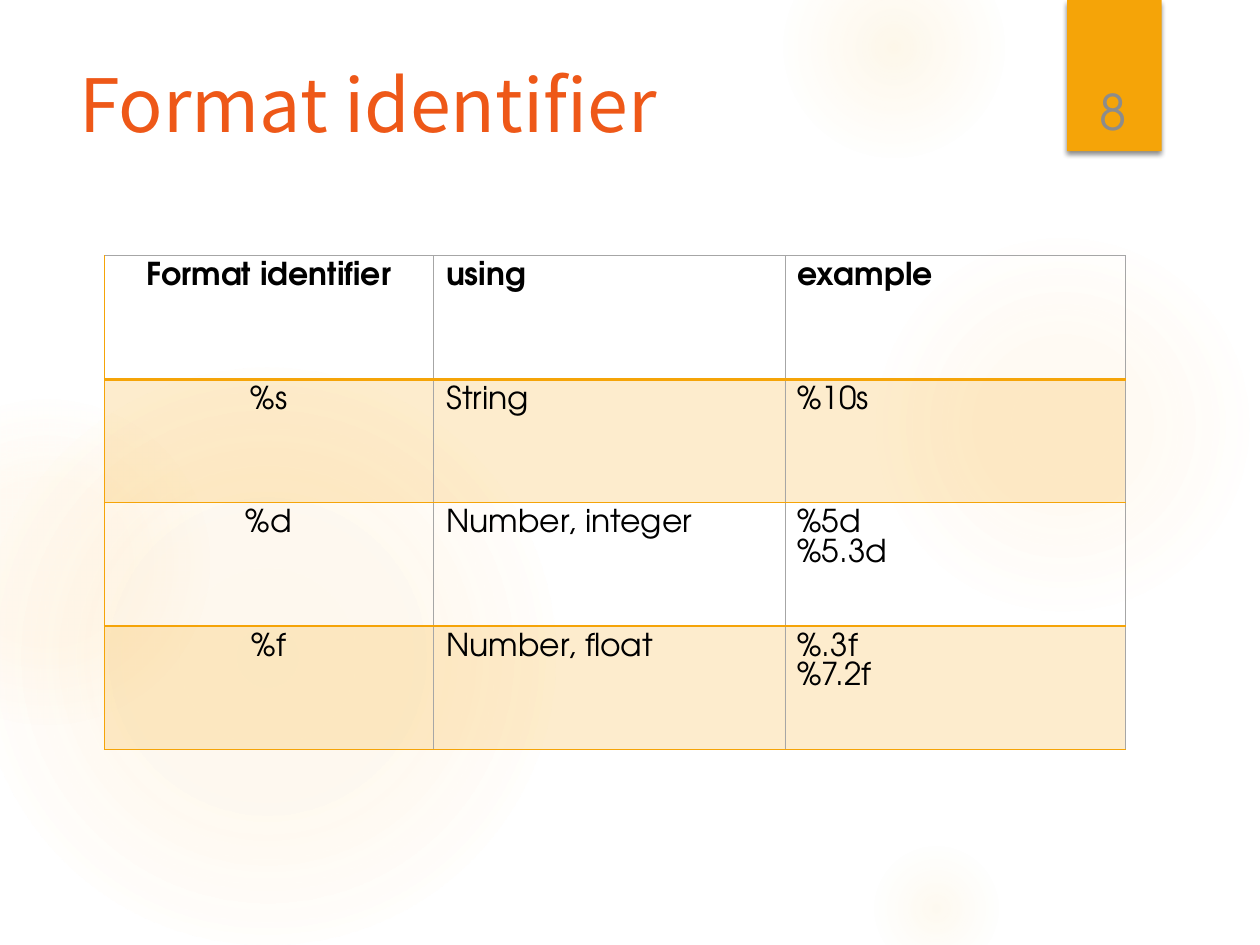
"""Build the slide that lists format identifiers in a table."""
import pptx
import pptx.util
import pptx.oxml
import pptx.oxml.ns
import pptx.dml.color
import pptx.enum.shapes
import pptx.enum.text

TITLE = "Format identifier"
PAGE = "8"
ROWS = [
    ("Format identifier", "using", "example"),
    ("%s", "String", "%10s"),
    ("%d", "Number, integer", "%5d\n%5.3d"),
    ("%f", "Number, float", "%.3f\n%7.2f"),
]
COL_WIDTHS = (2.61, 2.79, 2.7)
ROW_HEIGHT = 0.98
GLOWS = [
    (6.89, 1.83, 3.08, ((0, 7), (36, 6), (69, 0))),
    (6.22, -0.5, 1.75, ((0, 14), (36, 7), (73, 0))),
    (6.89, 6.67, 1.08, ((0, 10), (31, 5), (66, 0))),
    (-0.17, 2.92, 4.58, ((0, 11), (36, 10), (75, 0))),
    (-0.92, 3.17, 2.58, ((0, 8), (36, 8), (72, 0))),
]
ORANGE, GLOW, GRAY = "F5A408", "FAC96A", "A6A6A6"
BODY_FONT, TITLE_FONT = "TeX Gyre Adventor", "Noto Sans CJK KR"
CENTER = pptx.enum.text.PP_ALIGN.CENTER
LEFT = pptx.enum.text.PP_ALIGN.LEFT
SHAPE = pptx.enum.shapes.MSO_SHAPE
INCH = pptx.util.Inches


def rgb(value):
    return pptx.dml.color.RGBColor.from_string(value)


def xml(tag, body="", attrs=""):
    ns = pptx.oxml.ns.nsdecls("a")
    return pptx.oxml.parse_xml(f"<a:{tag} {ns} {attrs}>{body}</a:{tag}>")


def color_xml(color, alpha=100):
    return f'<a:srgbClr val="{color}"><a:alpha val="{alpha * 1000}"/></a:srgbClr>'


def add_shape(s, kind, *box):
    sp = s.shapes.add_shape(kind, *map(INCH, box))
    sp.shadow.inherit = False
    sp.line.fill.background()
    return sp


def add_glow(s, left, top, size, stops):
    sp = add_shape(s, SHAPE.OVAL, left, top, size, size)
    gs = "".join(f'<a:gs pos="{pos * 1000}">{color_xml(GLOW, a)}</a:gs>' for pos, a in stops)
    fill = xml("gradFill", f'<a:gsLst>{gs}</a:gsLst><a:path path="circle">'
               '<a:fillToRect l="50000" t="50000" r="50000" b="50000"/></a:path>')
    sp.element.spPr.find(pptx.oxml.ns.qn("a:prstGeom")).addnext(fill)


def add_tab(s):
    sp = add_shape(s, SHAPE.RECTANGLE, 8.47, 0, 0.75, 1.2)
    sp.fill.solid()
    sp.fill.fore_color.rgb = rgb(ORANGE)
    effects = sp.element.spPr.find(pptx.oxml.ns.qn("a:effectLst"))
    effects.append(xml("outerShdw", color_xml("000000", 45),
                       'blurRad="38100" dist="25400" dir="5400000" rotWithShape="0"'))


def write(tf, text, size, font, color, align=LEFT, spacing=None, bold=False):
    tf.text = text
    for p in tf.paragraphs:
        p.alignment = align
        p.line_spacing = spacing
        for r in p.runs:
            r.font.size = pptx.util.Pt(size)
            r.font.name = font
            r.font.bold = bold
            r.font.color.rgb = rgb(color)
            r.font.fill
            r._r.get_or_add_rPr().append(xml("ea", attrs=f'typeface="{font}"'))


def add_text(s, box, anchor, *style):
    tf = s.shapes.add_textbox(*map(INCH, box)).text_frame
    tf.word_wrap = True
    tf.vertical_anchor = anchor
    write(tf, *style)


def style_cell(cell, row, col):
    tcPr = cell._tc.get_or_add_tcPr()
    borders = {
        "lnL": (GRAY if col else ORANGE, 1),
        "lnR": (GRAY, 1),
        "lnT": (ORANGE if row else GRAY, 2 if row == 1 else 1),
        "lnB": (ORANGE, 1 if row else 2),
    }
    for tag, (color, width) in borders.items():
        points = 0.5 if color == GRAY else width
        tcPr.append(xml(tag, f"<a:solidFill>{color_xml(color)}</a:solidFill>",
                        f'w="{int(points * 12700)}"'))
    tcPr.append(xml("solidFill", color_xml(ORANGE, 20)) if row % 2 else xml("noFill"))


def add_table(s):
    box = (0.83, 2.03, sum(COL_WIDTHS), ROW_HEIGHT * len(ROWS))
    table = s.shapes.add_table(len(ROWS), len(COL_WIDTHS), *map(INCH, box)).table
    for column, width in zip(table.columns, COL_WIDTHS):
        column.width = INCH(width)
    for i, texts in enumerate(ROWS):
        table.rows[i].height = INCH(ROW_HEIGHT)
        for j, text in enumerate(texts):
            cell = table.cell(i, j)
            write(cell.text_frame, text, 18, BODY_FONT, "000000",
                  LEFT if j else CENTER, pptx.util.Pt(17), i == 0)
            style_cell(cell, i, j)


def main():
    prs = pptx.Presentation()
    prs.slide_width, prs.slide_height = INCH(10), INCH(7.5)
    s = prs.slides.add_slide(prs.slide_layouts[6])
    for glow in GLOWS:
        add_glow(s, *glow)
    add_tab(s)
    anchor = pptx.enum.text.MSO_ANCHOR
    add_text(s, (0.53, 0.5, 7.72, 1.53), anchor.TOP,
             TITLE, 42, TITLE_FONT, "EE5818", LEFT, 0.9)
    add_text(s, (8.49, 0.32, 0.69, 0.84), anchor.BOTTOM,
             PAGE, 28, BODY_FONT, "8C8C8C", CENTER)
    add_table(s)
    prs.save("out.pptx")


if __name__ == "__main__":
    main()
